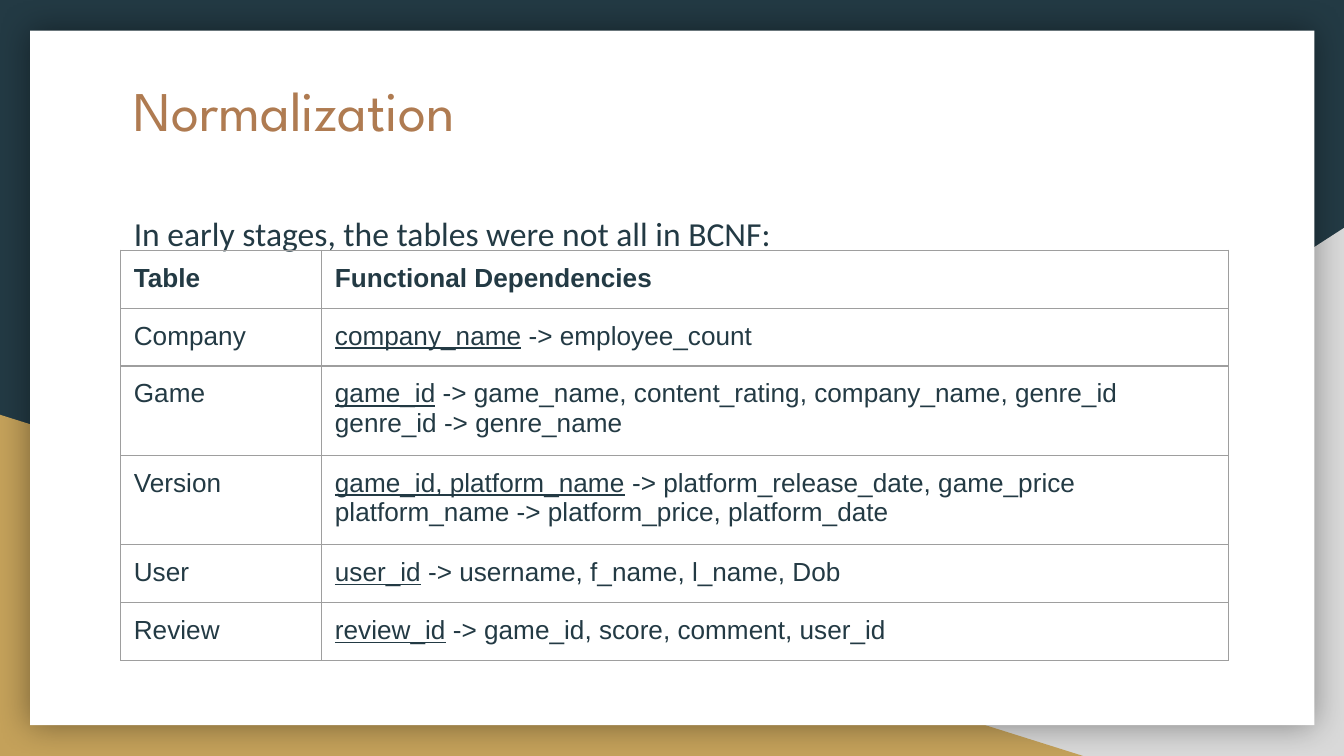
import pptx
import pptx.dml.color
import pptx.enum.shapes
import pptx.enum.text
import pptx.oxml
import pptx.oxml.ns
import pptx.util
from pptx.util import Cm

COLORS = {
    "navy": "233A44",
    "gray": "D9D9D9",
    "gold": "C4A15A",
    "white": "FFFFFF",
    "copper": "AF7B51",
    "border": "9E9E9E",
}
NAMESPACE = pptx.oxml.ns.nsdecls("a")
MARGIN = Cm(0.25)


def write_text(paragraph, text, size=14, font="Arial", color="navy", bold=False, underline=False):
    run = paragraph.add_run()
    run.text = text
    run.font.size = pptx.util.Pt(size)
    run.font.name = font
    run.font.bold = bold
    run.font.underline = underline
    run.font.color.rgb = pptx.dml.color.RGBColor.from_string(COLORS[color])


presentation = pptx.Presentation()
presentation.slide_width = Cm(25.4)
presentation.slide_height = Cm(14.29)
slide = presentation.slides.add_slide(presentation.slide_layouts[6])

# Background, corner triangles and white panel
slide.background.fill.solid()
slide.background.fill.fore_color.rgb = pptx.dml.color.RGBColor.from_string(COLORS["navy"])
kinds = pptx.enum.shapes.MSO_SHAPE
backdrop = [
    (kinds.RIGHT_TRIANGLE, 9.96, 4.31, 15.44, 9.98, "gray"),
    (kinds.RIGHT_TRIANGLE, 0, 7.84, 20.47, 6.45, "gold"),
    (kinds.RECTANGLE, 0.57, 0.58, 24.27, 13.13, "white"),
]
backdrop_shapes = []
for kind, left, top, width, height, color in backdrop:
    shape = slide.shapes.add_shape(kind, Cm(left), Cm(top), Cm(width), Cm(height))
    shape.shadow.inherit = False
    shape.fill.solid()
    shape.fill.fore_color.rgb = pptx.dml.color.RGBColor.from_string(COLORS[color])
    shape.line.fill.background()
    backdrop_shapes.append(shape)
gray_triangle, gold_triangle, panel = backdrop_shapes
gray_triangle._element.spPr.xfrm.set("flipH", "1")

# Soft shadow around the panel
effects = panel._element.spPr.find(pptx.oxml.ns.qn("a:effectLst"))
effects.append(pptx.oxml.parse_xml(
    f'<a:outerShdw {NAMESPACE} blurRad="{pptx.util.Pt(18)}" dist="0" dir="0" algn="ctr" rotWithShape="0">'
    '<a:srgbClr val="000000"><a:alpha val="40000"/></a:srgbClr></a:outerShdw>'))

# Title and introduction
headings = [
    ("Normalization", 1.17, 2.64, 1, {"size": 30, "font": "League Spartan", "color": "copper"}),
    ("In early stages, the tables were not all in BCNF:", 3.02, 6.1, 2, {"size": 18, "font": "Calibri"}),
]
for text, top, height, spacing, style in headings:
    frame = slide.shapes.add_textbox(Cm(2.28), Cm(top), Cm(20.85), Cm(height)).text_frame
    frame.word_wrap = True
    frame.margin_left = frame.margin_right = frame.margin_top = frame.margin_bottom = MARGIN
    frame.vertical_anchor = pptx.enum.text.MSO_ANCHOR.TOP
    frame.paragraphs[0].line_spacing = spacing
    write_text(frame.paragraphs[0], text, **style)

# Table rows: name, then lines of (underlined key, remainder)
rows = [
    ("Table", [("", "Functional Dependencies")]),
    ("Company", [("company_name", " -> employee_count")]),
    ("Game", [("game_id", " -> game_name, content_rating, company_name, genre_id"),
              ("", "genre_id -> genre_name")]),
    ("Version", [("game_id, platform_name", " -> platform_release_date, game_price"),
                 ("", "platform_name -> platform_price, platform_date")]),
    ("User", [("user_id", " -> username, f_name, l_name, Dob")]),
    ("Review", [("review_id", " -> game_id, score, comment, user_id")]),
]
table = slide.shapes.add_table(len(rows), 2, Cm(2.28), Cm(4.73), Cm(20.94), Cm(7.48)).table
table.first_row = False
table.horz_banding = False
table.columns[0].width = Cm(3.8)
table.columns[1].width = Cm(17.14)

for row_index, (name, dependencies) in enumerate(rows):
    table.rows[row_index].height = Cm(0.5 + 0.56 * len(dependencies))
    for column_index, lines in enumerate([[("", name)], dependencies]):
        cell = table.cell(row_index, column_index)
        cell.margin_left = cell.margin_right = cell.margin_top = cell.margin_bottom = MARGIN
        for line_index, (key, remainder) in enumerate(lines):
            frame = cell.text_frame
            paragraph = frame.add_paragraph() if line_index else frame.paragraphs[0]
            if key:
                write_text(paragraph, key, underline=True)
            write_text(paragraph, remainder, bold=row_index == 0)
        # Cell borders come before the fill
        properties = cell._tc.get_or_add_tcPr()
        for side in ("lnL", "lnR", "lnT", "lnB"):
            properties.append(pptx.oxml.parse_xml(
                f'<a:{side} {NAMESPACE} w="{pptx.util.Pt(0.75)}"><a:solidFill>'
                f'<a:srgbClr val="{COLORS["border"]}"/></a:solidFill></a:{side}>'))
        cell.fill.background()

presentation.save("out.pptx")
